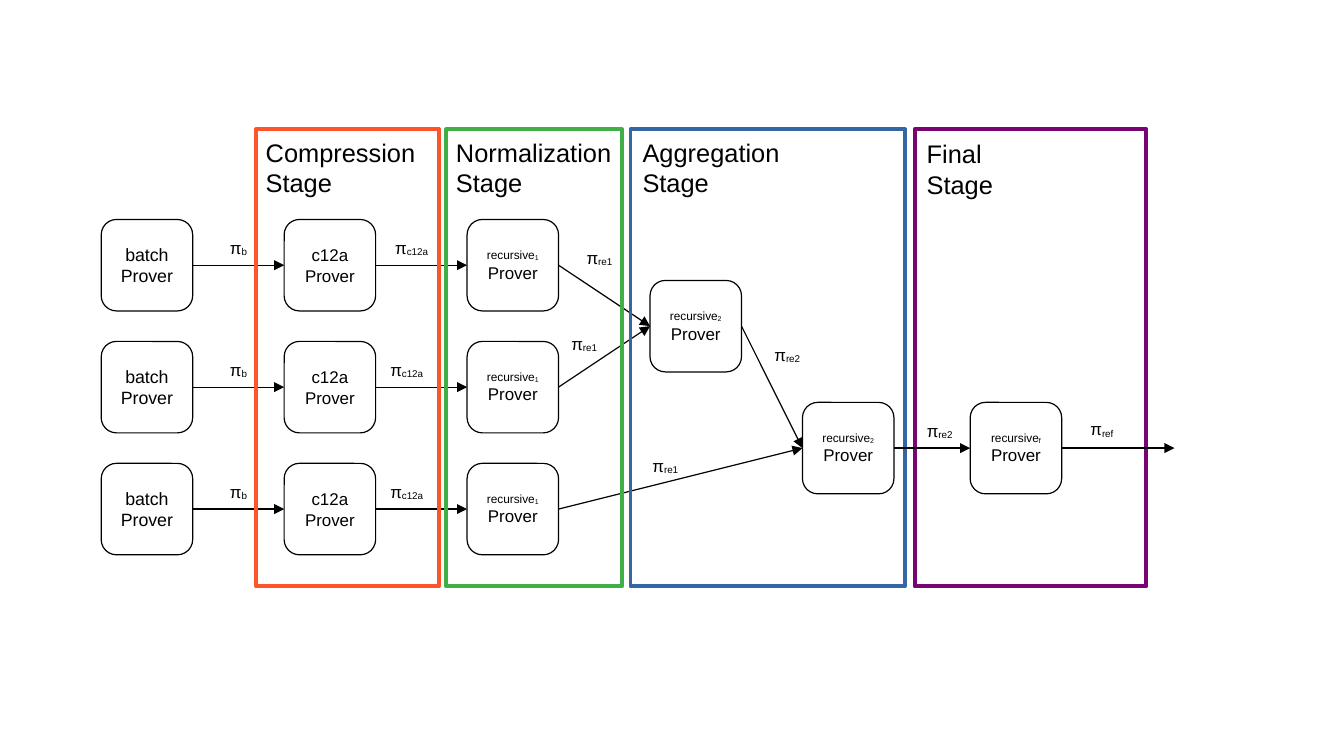
from lxml.etree import SubElement
from pptx import Presentation
from pptx.dml.color import RGBColor
from pptx.enum.shapes import MSO_CONNECTOR, MSO_SHAPE
from pptx.enum.text import MSO_ANCHOR, PP_ALIGN
from pptx.oxml.ns import qn
from pptx.util import Inches, Pt

SLIDE_WIDTH, SLIDE_HEIGHT = 11.02, 6.2
LEFT, TOP, CELL = 0.83, 1.8, 0.25  # grid origin and cell size in inches
PROVER_SIZE = 3  # cells
BLACK, WHITE = "000000", "FFFFFF"


def color(hex_value):
    return RGBColor.from_string(hex_value)


class Diagram:
    """Draws on one slide; all lengths are grid columns and rows."""

    font_format = {"name": "Arial", "bold": False}
    thin, thick = Pt(0.71), Pt(2.3)

    def __init__(self, slide):
        self.slide = slide

    def box(self, column, row, width, height):
        return (Inches(LEFT + column * CELL), Inches(TOP + row * CELL),
                Inches(width * CELL), Inches(height * CELL))

    def set_text(self, shape, lines, align, anchor):
        """Each line is a list of (text, size, is_subscript) runs."""
        frame = shape.text_frame
        frame.word_wrap = True
        frame.vertical_anchor = anchor
        for index, runs in enumerate(lines):
            paragraph = frame.add_paragraph() if index else frame.paragraphs[0]
            paragraph.alignment = align
            for text, size, is_subscript in runs:
                run = paragraph.add_run()
                run.text = text
                for name, value in {**self.font_format, "size": Pt(size)}.items():
                    setattr(run.font, name, value)
                run.font.color.rgb = color(BLACK)
                if is_subscript:
                    run.font._element.set("baseline", "-8000")

    def outlined(self, kind, box, line_color, line_width):
        shape = self.slide.shapes.add_shape(kind, *box)
        shape.shadow.inherit = False
        shape.line.color.rgb = color(line_color)
        shape.line.width = line_width
        return shape

    def prover(self, column, row, name, subscript="", size=10):
        shape = self.outlined(MSO_SHAPE.ROUNDED_RECTANGLE,
                              self.box(column, row, PROVER_SIZE, PROVER_SIZE),
                              BLACK, self.thin)
        shape.fill.solid()
        shape.fill.fore_color.rgb = color(WHITE)
        first_line = [(name, 7 if subscript else size, False)]
        if subscript:
            first_line.append((subscript, 7, True))
        self.set_text(shape, [first_line, [("Prover", size, False)]],
                      PP_ALIGN.CENTER, MSO_ANCHOR.MIDDLE)
        return shape

    def proof(self, column, row, subscript, width=3):
        shape = self.slide.shapes.add_textbox(*self.box(column, row, width, 1.12))
        self.set_text(shape, [[("π", 10, False), (subscript, 10, True)]],
                      PP_ALIGN.CENTER, MSO_ANCHOR.MIDDLE)

    def arrow(self, source, target=None, end_column=0):
        """Join two provers, or run level from one to a column."""
        middle = source.top + source.height // 2
        connector = self.slide.shapes.add_connector(
            MSO_CONNECTOR.STRAIGHT, source.left + source.width, middle,
            Inches(LEFT + end_column * CELL), middle)
        connector.begin_connect(source, 3)
        if target is not None:
            connector.end_connect(target, 1)
        connector.line.color.rgb = color(BLACK)
        connector.line.width = self.thin
        SubElement(connector.line._get_or_add_ln(), qn("a:tailEnd"), type="triangle")
        SubElement(connector._element.spPr, qn("a:effectLst"))

    def stage(self, name, column, width, line_color, title_column, title_row):
        frame = self.outlined(MSO_SHAPE.RECTANGLE, self.box(column, -2.96, width, 15),
                              line_color, self.thick)
        frame.fill.background()
        title = self.slide.shapes.add_textbox(*self.box(title_column, title_row, 7.16, 2.4))
        self.set_text(title, [[(name, 15, False)], [("Stage", 15, False)]],
                      PP_ALIGN.LEFT, MSO_ANCHOR.TOP)


def main():
    presentation = Presentation()
    presentation.slide_width = Inches(SLIDE_WIDTH)
    presentation.slide_height = Inches(SLIDE_HEIGHT)
    diagram = Diagram(presentation.slides.add_slide(presentation.slide_layouts[6]))

    normalized = []
    for row, c12a_column in ((0, 8.68), (4, 8.52), (8, 8.52)):
        batch = diagram.prover(0, row, "batch", size=10.5)
        compressed = diagram.prover(6, row, "c12a")
        normalized.append(diagram.prover(12, row, "recursive", "1"))
        diagram.arrow(batch, compressed)
        diagram.arrow(compressed, normalized[-1])
        diagram.proof(3, row + 0.36, "b")
        diagram.proof(c12a_column, row + 0.36, "c12a")

    first_pair = diagram.prover(18, 2, "recursive", "2")
    aggregate = diagram.prover(23, 6, "recursive", "2")
    for source, target in zip([*normalized, first_pair],
                              [first_pair, first_pair, aggregate, aggregate]):
        diagram.arrow(source, target)
    for column, row, subscript, width in (
            (14.84, 0.68, "re1", 3), (14.84, 3.52, "re1", 2), (17, 7.52, "re1", 3),
            (21, 3.88, "re2", 3), (26, 6.36, "re2", 3)):
        diagram.proof(column, row, subscript, width)

    for stage in (
            ("Compression", 5.08, 6, "FF5429", 5, -2.9),
            ("Normalization", 11.32, 5.76, "3FAF46", 11.24, -2.9),
            ("Aggregation", 17.36, 9, "3465A4", 17.36, -2.9),
            ("Final", 26.68, 7.6, "780373", 26.68, -2.86)):
        diagram.stage(*stage)

    final = diagram.prover(28.5, 6, "recursive", "f")
    diagram.arrow(aggregate, final)
    diagram.arrow(final, end_column=35.2)
    diagram.proof(31.32, 6.32, "ref")

    presentation.save("out.pptx")


if __name__ == "__main__":
    main()
